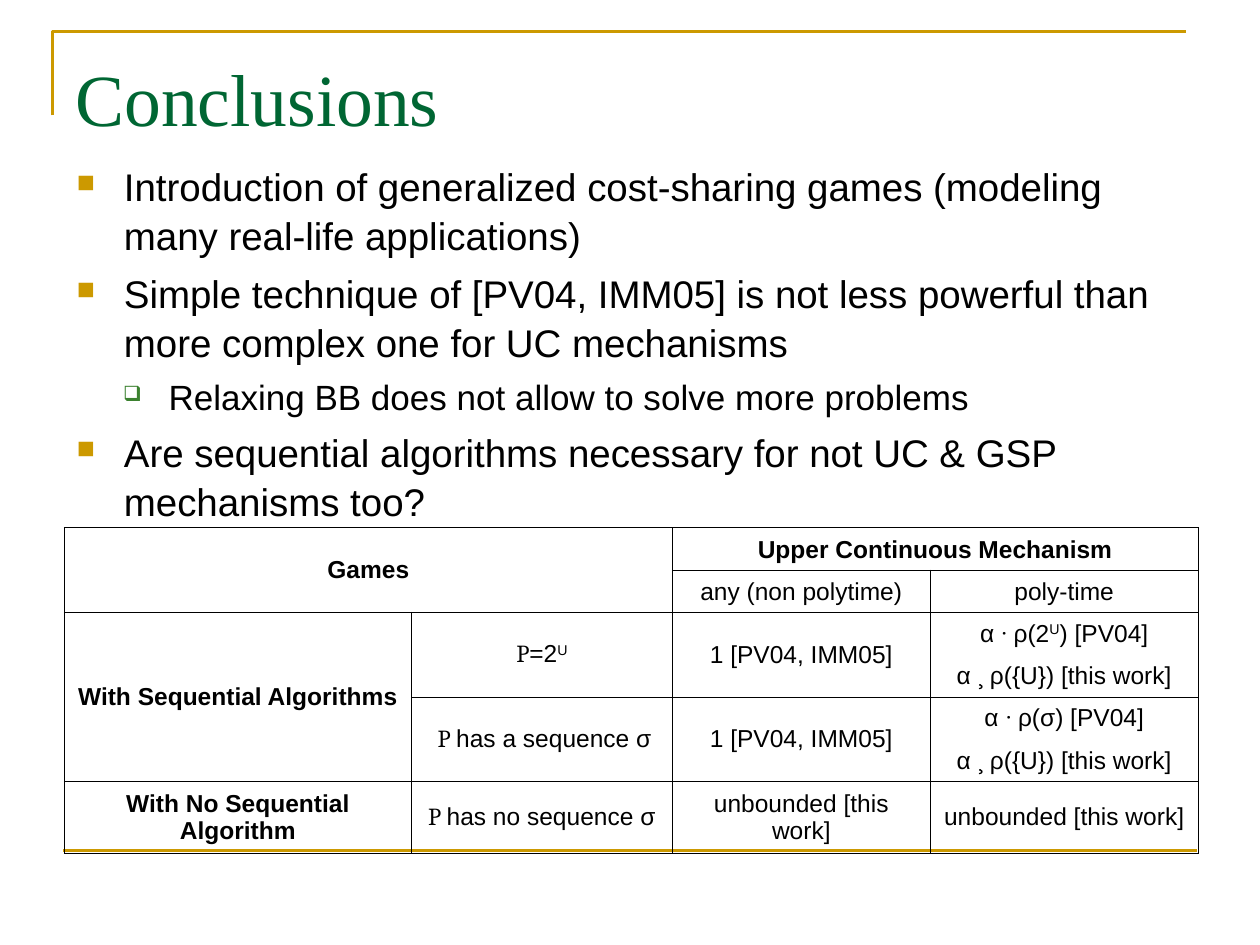
from pptx import Presentation
from pptx.dml.color import RGBColor
from pptx.enum.shapes import MSO_CONNECTOR
from pptx.enum.text import MSO_ANCHOR as Anchor, PP_ALIGN as Align
from pptx.oxml.ns import qn
from pptx.util import Pt
from lxml.etree import SubElement

COLORS = {"gold": "CC9900", "title": "006633", "text": "000000", "sub": "3B812F"}
BULLETS = [("■", "gold", 65, 27, 27, 22, 5.5), ("❑", "sub", 60, 52.5, 26, 20, 5)]
SYMBOL_FONTS = {"P": "Cambria", "·": "Roboto", "¸": "Roboto"}
POINTS = [
    (0, "Introduction of generalized cost-sharing games (modeling many real-life applications)"),
    (0, "Simple technique of [PV04, IMM05] is not less powerful than more complex one for UC mechanisms"),
    (1, "Relaxing BB does not allow to solve more problems"),
    (0, "Are sequential algorithms necessary for not UC & GSP mechanisms too?"),
]
COLUMNS = [198.5, 149, 147.5, 153]
ROWS = [24.2] * 6 + [41]
MERGES = [(0, 0, 1, 1), (0, 2, 0, 3), (2, 0, 5, 0)] + [
    (row, col, row + 1, col) for row in (2, 4) for col in (1, 2)]
BOLD, PLAIN, LOW = (True, Anchor.MIDDLE), (False, Anchor.MIDDLE), (False, Anchor.BOTTOM)
LOWER_BOUND = ["α ", "¸ ", "ρ({U}) [this work]"]
CELLS = {
    (0, 0): (["Games"], BOLD),
    (0, 2): (["Upper Continuous Mechanism"], (True, Anchor.BOTTOM)),
    (1, 2): (["any (non polytime)"], LOW),
    (1, 3): (["poly-time"], LOW),
    (2, 0): (["With Sequential Algorithms"], BOLD),
    (2, 1): (["P", "=2", "^U"], PLAIN),
    (2, 2): (["1 [PV04, IMM05]"], PLAIN),
    (2, 3): (["α ", "· ", "ρ(2", "^U", ") [PV04]"], LOW),
    (3, 3): (LOWER_BOUND, LOW),
    (4, 1): ([" P ", "has a sequence σ"], PLAIN),
    (4, 2): (["1 [PV04, IMM05]"], PLAIN),
    (4, 3): (["α ", "· ", "ρ(σ) [PV04]"], LOW),
    (5, 3): (LOWER_BOUND, LOW),
    (6, 0): (["With No Sequential Algorithm"], BOLD),
    (6, 1): (["P ", "has no sequence σ"], PLAIN),
    (6, 2): (["unbounded [this work]"], PLAIN),
    (6, 3): (["unbounded [this work]"], PLAIN),
}
OPEN_SIDES = {(2, 3): "B", (3, 3): "T", (4, 3): "B", (5, 3): "T"}


class SlideBuilder:
    """Draws the elements of one slide in a shared style."""

    def __init__(self, slide):
        self.slide = slide

    def color(self, name):
        return RGBColor.from_string(COLORS[name])

    def font(self, font, size, face="Arial", color="text", bold=False):
        font.size, font.name, font.bold = Pt(size), face, bold
        font.color.rgb = self.color(color)

    def stroke(self, line):
        line.color.rgb = self.color("gold")
        line.width = Pt(1.5)

    def corner(self, start, *others):
        builder = self.slide.shapes.build_freeform(*map(Pt, start))
        builder.add_line_segments([tuple(map(Pt, point)) for point in others], close=False)
        frame = builder.convert_to_shape()
        frame.shadow.inherit = False
        frame.fill.background()
        self.stroke(frame.line)

    def rule(self, *ends):
        rule = self.slide.shapes.add_connector(MSO_CONNECTOR.STRAIGHT, *map(Pt, ends))
        self.stroke(rule.line)
        SubElement(rule._element.spPr, qn("a:effectLst"))

    def textbox(self, *box):
        frame = self.slide.shapes.add_textbox(*map(Pt, box)).text_frame
        frame.word_wrap = True
        return frame

    def title(self, text, *box):
        heading = self.textbox(*box).paragraphs[0]
        heading.text = text
        heading.line_spacing = 1.1
        self.font(heading.font, 42, "Times New Roman", "title")

    def bullets(self, points, *box):
        frame = self.textbox(*box)
        for index, (level, text) in enumerate(points):
            point = frame.add_paragraph() if index else frame.paragraphs[0]
            mark, color, scale, margin, hang, size, gap = BULLETS[level]
            point.text, point.level = text, level
            point.space_before, point.line_spacing = Pt(gap), 1.05
            self.font(point.font, size)
            props = point._p.get_or_add_pPr()
            props.set("marL", str(Pt(margin)))
            props.set("indent", str(-Pt(hang)))
            tint = SubElement(props, qn("a:buClr"))
            SubElement(tint, qn("a:srgbClr"), val=COLORS[color])
            SubElement(props, qn("a:buSzPct"), val=str(scale * 1000))
            SubElement(props, qn("a:buChar"), char=mark)
            props.append(props.find(qn("a:defRPr")))

    def borders(self, cell, open_sides):
        props = cell._tc.get_or_add_tcPr()
        for index, side in enumerate("LRTB"):
            edge = SubElement(props, qn(f"a:ln{side}"), w=str(Pt(0.45)))
            props.remove(edge)
            props.insert(index, edge)
            if side in open_sides:
                SubElement(edge, qn("a:noFill"))
            else:
                ink = SubElement(edge, qn("a:solidFill"))
                SubElement(ink, qn("a:srgbClr"), val=COLORS["text"])

    def cell_text(self, cell, pieces, bold, anchor):
        cell.vertical_anchor = anchor
        entry = cell.text_frame.paragraphs[0]
        entry.alignment = Align.CENTER
        for piece in pieces:
            run = entry.add_run()
            run.text = piece.lstrip("^")
            self.font(run.font, 14, SYMBOL_FONTS.get(piece.strip(), "Arial"), bold=bold)
            if piece.startswith("^"):
                run.font._element.set("baseline", "30000")

    def table(self, left, top):
        box = map(Pt, (left, top, sum(COLUMNS), sum(ROWS)))
        table = self.slide.shapes.add_table(len(ROWS), len(COLUMNS), *box).table
        table.first_row = table.horz_banding = False
        for column, width in zip(table.columns, COLUMNS):
            column.width = Pt(width)
        for row, height in zip(table.rows, ROWS):
            row.height = Pt(height)
        for row in range(len(ROWS)):
            for col in range(len(COLUMNS)):
                cell = table.cell(row, col)
                cell.fill.background()
                self.borders(cell, OPEN_SIDES.get((row, col), ""))
        for top_row, first, bottom_row, last in MERGES:
            table.cell(top_row, first).merge(table.cell(bottom_row, last))
        for place, (pieces, style) in CELLS.items():
            self.cell_text(table.cell(*place), pieces, *style)


def main():
    deck = Presentation()
    deck.slide_width, deck.slide_height = Pt(720), Pt(540)
    page = SlideBuilder(deck.slides.add_slide(deck.slide_layouts[6]))
    page.corner((30, 66), (30, 18), (678, 18))
    page.rule(36, 486, 684, 486)
    page.title("Conclusions", 36, 21.6, 648, 90)
    page.bullets(POINTS, 36.7, 88.6, 647.3, 203.8)
    page.table(36.7, 301.5)
    deck.save("out.pptx")


if __name__ == "__main__":
    main()
